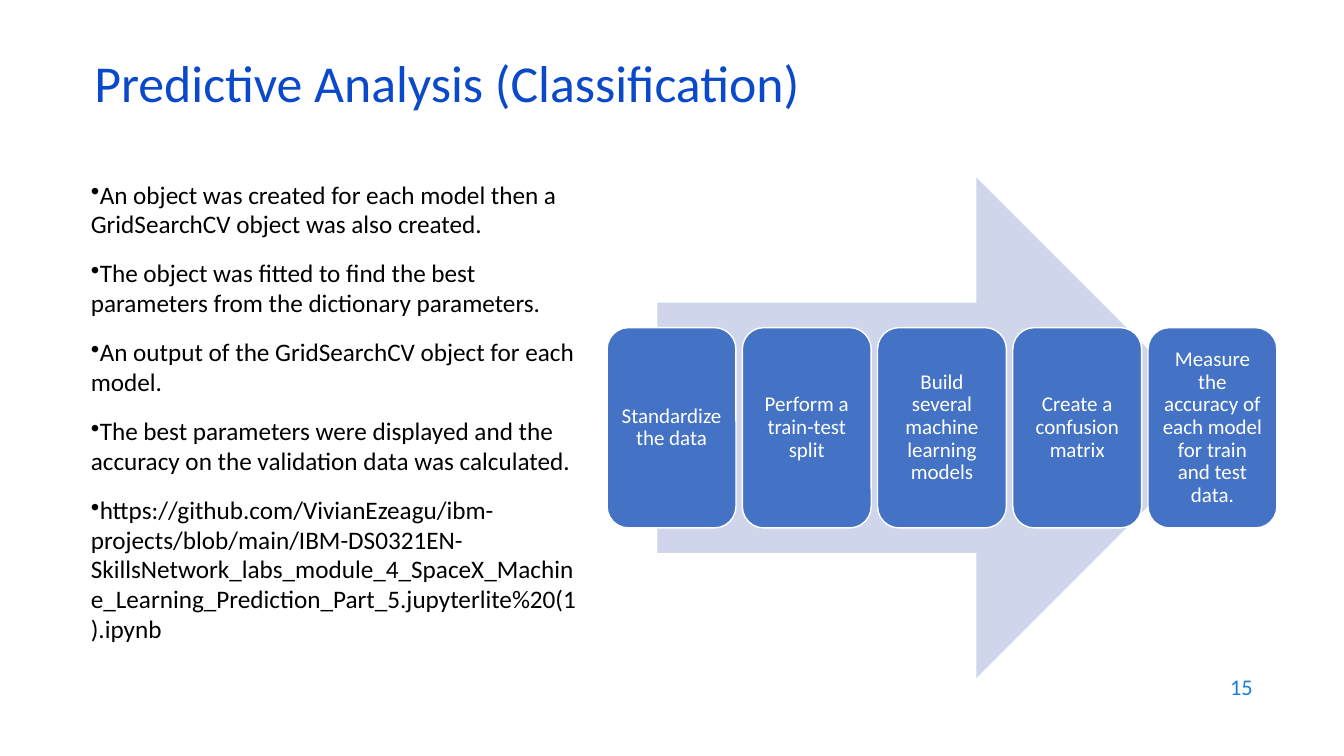
import pptx
import pptx.dml.color
import pptx.enum.shapes
import pptx.enum.text
import pptx.oxml.ns
import pptx.util
from lxml import etree

Cm, Pt = pptx.util.Cm, pptx.util.Pt
RGBColor = pptx.dml.color.RGBColor
SHAPE = pptx.enum.shapes.MSO_SHAPE
ANCHOR = pptx.enum.text.MSO_ANCHOR
ALIGN = pptx.enum.text.PP_ALIGN

TITLE_BLUE = RGBColor(0x0B, 0x49, 0xCB)
NUMBER_BLUE = RGBColor(0x1C, 0x7D, 0xDB)
STEP_BLUE = RGBColor(0x44, 0x72, 0xC4)
ARROW_TINT = RGBColor(0xCF, 0xD5, 0xEA)
BLACK = RGBColor(0, 0, 0)
WHITE = RGBColor(255, 255, 255)

TITLE = "Predictive Analysis (Classification)"
FINDINGS = [
    "An object was created for each model then a GridSearchCV object was also created.",
    "The object was fitted to find the best parameters from the dictionary parameters.",
    "An output of the GridSearchCV object for each model.",
    "The best parameters were displayed and the accuracy on the validation data was calculated.",
    "https://github.com/VivianEzeagu/ibm-projects/blob/main/IBM-DS0321EN-"
    "SkillsNetwork_labs_module_4_SpaceX_Machine_Learning_Prediction_Part_5"
    ".jupyterlite%20(1).ipynb",
]
STEPS = [
    "Standardize the data",
    "Perform a train-test split",
    "Build several machine learning models",
    "Create a confusion matrix",
    "Measure the accuracy of each model for train and test data.",
]


def apply_format(target, values):
    for attribute, value in values.items():
        setattr(target, attribute, value)


def write(paragraph, text, size, color, **layout):
    run = paragraph.add_run()
    run.text = text
    apply_format(run.font, {"name": "Calibri", "size": Pt(size)})
    run.font.color.rgb = color
    apply_format(paragraph, layout)


def add_text_frame(slide, box, anchor):
    frame = slide.shapes.add_textbox(*map(Cm, box)).text_frame
    apply_format(frame, {"word_wrap": True, "vertical_anchor": anchor})
    return frame


def add_filled_shape(slide, kind, box, color):
    shape = slide.shapes.add_shape(kind, *map(Cm, box))
    shape.shadow.inherit = False
    shape.fill.solid()
    shape.fill.fore_color.rgb = color
    return shape


def add_title(slide, box):
    frame = add_text_frame(slide, box, ANCHOR.MIDDLE)
    write(frame.paragraphs[0], TITLE, 37, TITLE_BLUE, line_spacing=0.7)


def add_page_number(slide, box):
    frame = add_text_frame(slide, box, ANCHOR.MIDDLE)
    write(frame.paragraphs[0], "15", 16, NUMBER_BLUE, alignment=ALIGN.RIGHT)


def add_findings(slide, box):
    frame = add_text_frame(slide, box, ANCHOR.TOP)
    for index, finding in enumerate(FINDINGS):
        paragraph = frame.add_paragraph() if index else frame.paragraphs[0]
        # Bullet sits directly against the text, with no hanging indent
        properties = paragraph._p.get_or_add_pPr()
        apply_bullet = etree.SubElement(properties, pptx.oxml.ns.qn("a:buChar"))
        apply_bullet.set("char", "•")
        write(paragraph, finding, 18, BLACK, line_spacing=0.98,
              space_before=Pt(14 if index else 0))


def add_process(slide, box):
    left, top, width, height = box

    # Background arrow, 85 % of the width and centred
    arrow_box = (left + 0.075 * width, top, 0.85 * width, height)
    arrow = add_filled_shape(slide, SHAPE.RIGHT_ARROW, arrow_box, ARROW_TINT)
    arrow.line.fill.background()

    # Equal step cards across the middle
    gap = 0.16
    card_width = (width - gap * (len(STEPS) - 1)) / len(STEPS)
    for index, step in enumerate(STEPS):
        card_box = (left + index * (card_width + gap), top + 0.3 * height,
                    card_width, 0.4 * height)
        card = add_filled_shape(slide, SHAPE.ROUNDED_RECTANGLE, card_box, STEP_BLUE)
        card.line.color.rgb = WHITE
        card.line.width = Pt(1)
        inset = Cm(0.16)
        apply_format(card.text_frame, {
            "word_wrap": True, "vertical_anchor": ANCHOR.MIDDLE,
            "margin_left": inset, "margin_right": inset,
            "margin_top": inset, "margin_bottom": inset})
        write(card.text_frame.paragraphs[0], step, 15, WHITE,
              alignment=ALIGN.CENTER, line_spacing=0.9)


def main():
    presentation = pptx.Presentation()
    apply_format(presentation, {"slide_width": Cm(33.87), "slide_height": Cm(19.05)})
    slide = presentation.slides.add_slide(presentation.slide_layouts[6])
    # Boxes are left, top, width, height in centimetres
    add_page_number(slide, (24.2, 16.74, 7.62, 1.12))
    add_findings(slide, (2.04, 4.42, 12.88, 12.1))
    add_title(slide, (2.13, 1.5, 29.2, 1.52))
    add_process(slide, (15.3, 4.47, 16.88, 12.62))
    presentation.save("out.pptx")


if __name__ == "__main__":
    main()
